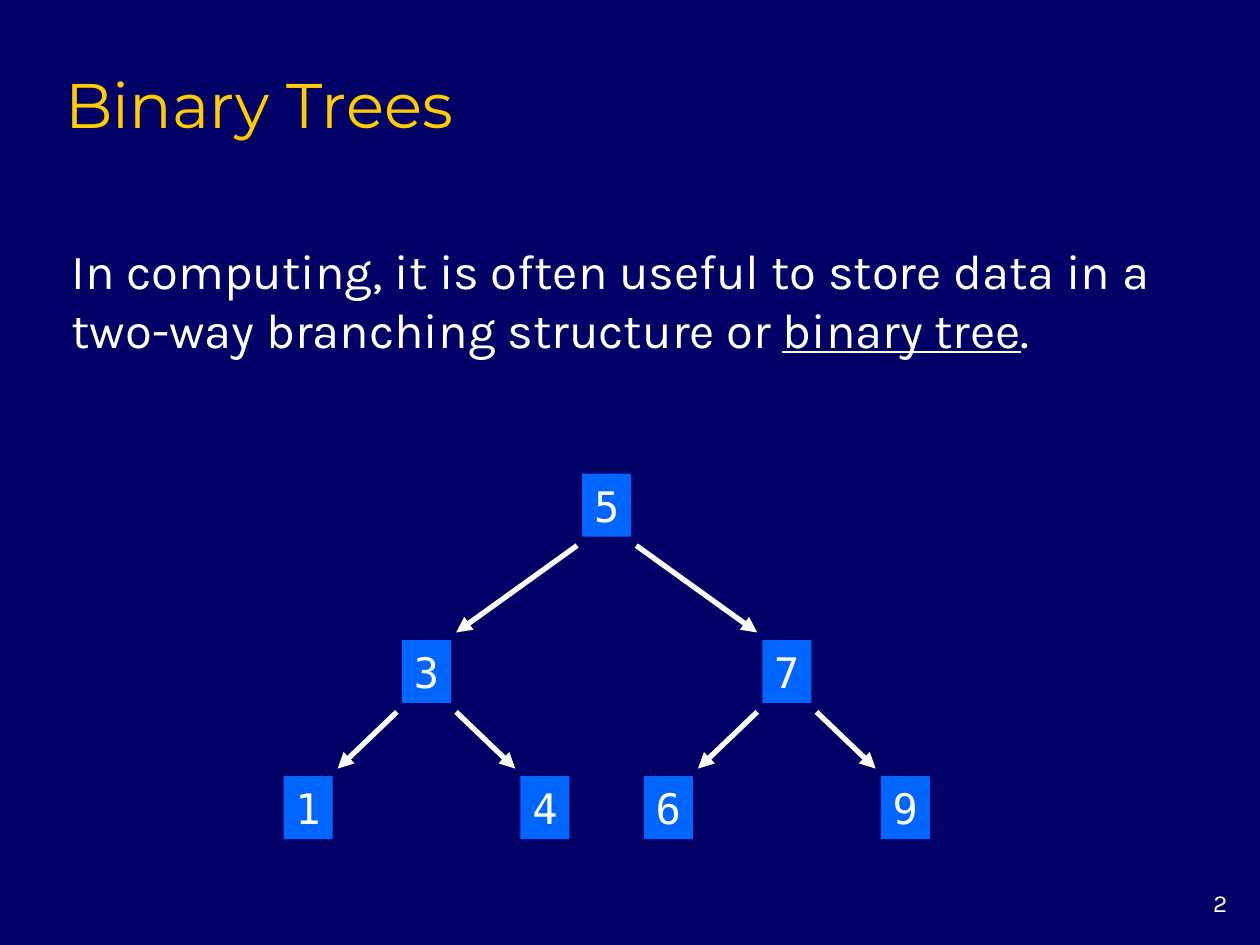
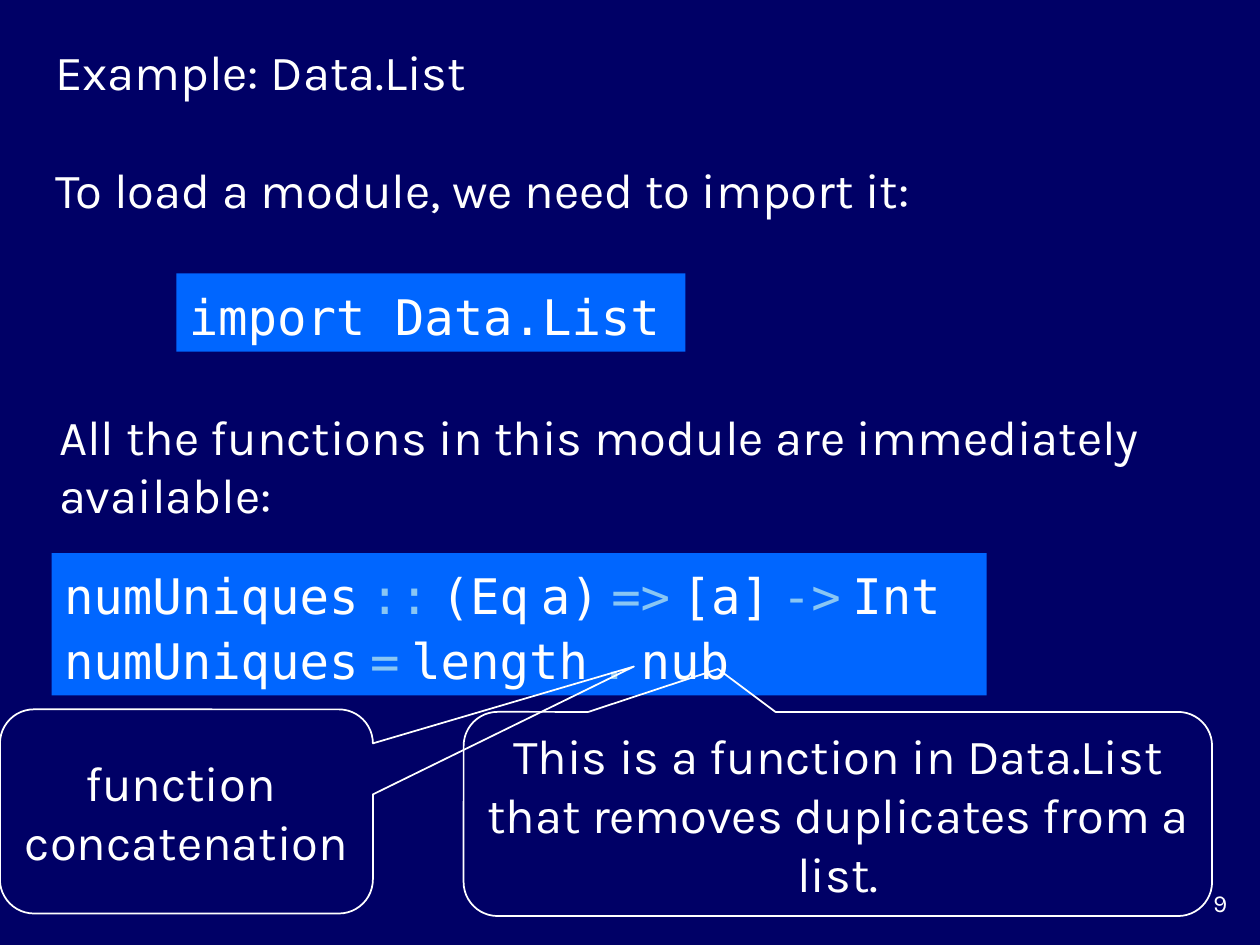
import lxml.etree
import pptx
import pptx.util
import pptx.dml.color
import pptx.enum.shapes
import pptx.enum.text
import pptx.oxml.ns

Inches = pptx.util.Inches
SHAPES = pptx.enum.shapes.MSO_SHAPE
LEFT, CENTER, RIGHT = (pptx.enum.text.PP_ALIGN.LEFT, pptx.enum.text.PP_ALIGN.CENTER,
                       pptx.enum.text.PP_ALIGN.RIGHT)
TOP, MIDDLE, BOTTOM = (pptx.enum.text.MSO_ANCHOR.TOP, pptx.enum.text.MSO_ANCHOR.MIDDLE,
                       pptx.enum.text.MSO_ANCHOR.BOTTOM)
NAVY, BLUE, SKY, GOLD, WHITE = "000066", "0066FF", "89C6F4", "FFCC00", "FFFFFF"
BODY, CODE, HEADING = "Karla", "DejaVu Sans Mono", "Montserrat"


def rgb(value):
    return pptx.dml.color.RGBColor.from_string(value)


def add_block(slide, place, text, size=28, font=BODY, color=WHITE, align=LEFT,
              anchor=MIDDLE, wrap=True, outline=None, fill=None):
    box = [Inches(length) for length in place]
    if outline is None:
        block = slide.shapes.add_textbox(*box)
    else:
        block = slide.shapes.add_shape(outline, *box)
        block.shadow.inherit = False
        if fill:
            block.fill.solid()
            block.fill.fore_color.rgb = rgb(fill)
            block.line.fill.background()
        else:
            block.fill.background()
            block.line.color.rgb = rgb(WHITE)
            block.line.width = pptx.util.Pt(1)
    frame = block.text_frame
    frame.text = text
    frame.word_wrap = wrap
    frame.vertical_anchor = anchor
    for paragraph in frame.paragraphs:
        paragraph.alignment = align
        for run in paragraph.runs:
            run.font.size = pptx.util.Pt(size)
            run.font.name = font
            run.font.color.rgb = rgb(color)
    return block


deck = pptx.Presentation()
deck.slide_width, deck.slide_height = Inches(10), Inches(7.5)

pages = []
for page_number in ("2", "9"):
    page = deck.slides.add_slide(deck.slide_layouts[6])
    page.background.fill.solid()
    page.background.fill.fore_color.rgb = rgb(NAVY)
    add_block(page, (9.17, 7, 0.67, 0.33), page_number, 14, align=RIGHT, anchor=TOP)
    pages.append(page)
trees_page, modules_page = pages

add_block(trees_page, (0.42, 0.42, 8.5, 0.75), "Binary Trees", 36, HEADING, GOLD, anchor=BOTTOM)
definition = add_block(trees_page, (0.47, 1.86, 8.96, 1.04),
                       "In computing, it is often useful to store data in a "
                       "two-way branching structure or ")
sentence = definition.text_frame.paragraphs[0]
for words, underlined in (("binary tree", True), (".", False)):
    term = sentence.add_run()
    term.text = words
    term.font.size = pptx.util.Pt(28)
    term.font.name = BODY
    term.font.color.rgb = rgb(WHITE)
    term.font.underline = underlined

node_width, node_height = 0.39, 0.5
level_tops = (3.76, 5.08, 6.16)
nodes = {"5": (4.62, level_tops[0])}
branches = []
for parent, children, spread, level in (("5", "37", 1.43, 1), ("3", "14", 0.94, 2),
                                        ("7", "69", 0.94, 2)):
    for child, side in zip(children, (-1, 1)):
        nodes[child] = (nodes[parent][0] + side * spread, level_tops[level])
        branches.append((parent, child, side))

for value, (left, top) in nodes.items():
    add_block(trees_page, (left, top, node_width, node_height), value, 24, CODE,
              align=CENTER, wrap=False, outline=SHAPES.RECTANGLE, fill=BLUE)

reach = node_width / 2 + 0.04
for parent, child, side in branches:
    (parent_left, parent_top), (child_left, child_top) = nodes[parent], nodes[child]
    parent_middle = parent_left + node_width / 2
    child_middle = child_left + node_width / 2
    branch = trees_page.shapes.add_connector(
        pptx.enum.shapes.MSO_CONNECTOR.STRAIGHT,
        Inches(parent_middle + side * reach), Inches(parent_top + node_height + 0.07),
        Inches(child_middle - side * reach), Inches(child_top - 0.06))
    branch.line.color.rgb = rgb(WHITE)
    branch.line.width = pptx.util.Pt(3)
    lxml.etree.SubElement(branch.get_or_add_ln(), pptx.oxml.ns.qn("a:tailEnd"), type="triangle")
    lxml.etree.SubElement(branch.element.spPr, pptx.oxml.ns.qn("a:effectLst"))

loading = add_block(modules_page, (0.34, 0.28, 9.12, 1.5),
                    "Example: Data.List\nTo load a module, we need to import it:")
loading.text_frame.paragraphs[1].space_before = pptx.util.Pt(34)

signature = add_block(modules_page, (0.41, 4.39, 7.42, 1.13), "\n",
                      outline=SHAPES.RECTANGLE, fill=BLUE)
code_lines = ("numUniques :: (Eq a) => [a] -> Int", "numUniques = length . nub")
operators = ("::", "=>", "->", "=", ".")
for paragraph, code_line in zip(signature.text_frame.paragraphs, code_lines):
    paragraph.line_spacing = 1.1
    for position, token in enumerate(code_line.split(" ")):
        for piece in ((" ", token) if position else (token,)):
            run = paragraph.add_run()
            run.text = piece
            run.font.size = pptx.util.Pt(28)
            run.font.name = BODY if piece == " " else CODE
            run.font.color.rgb = rgb(SKY if piece in operators else WHITE)

import_line = add_block(modules_page, (1.4, 2.17, 4.04, 0.62), "import Data.List", font=CODE,
                        outline=SHAPES.RECTANGLE, fill=BLUE)
import_line.text_frame.paragraphs[0].line_spacing = 1.1
add_block(modules_page, (0.37, 3.17, 9.02, 1.04),
          "All the functions in this module are immediately available:")

for place, remark, pointer in (
        ((3.68, 5.65, 5.94, 1.62),
         "This is a function in Data.List that removes duplicates from a list.", (-0.16, -0.71)),
        ((0, 5.63, 2.96, 1.62), "function \nconcatenation", (1.2, -0.71))):
    callout = add_block(modules_page, place, remark, align=CENTER,
                        outline=SHAPES.ROUNDED_RECTANGULAR_CALLOUT)
    callout.adjustments[0], callout.adjustments[1] = pointer

deck.save("out.pptx")
